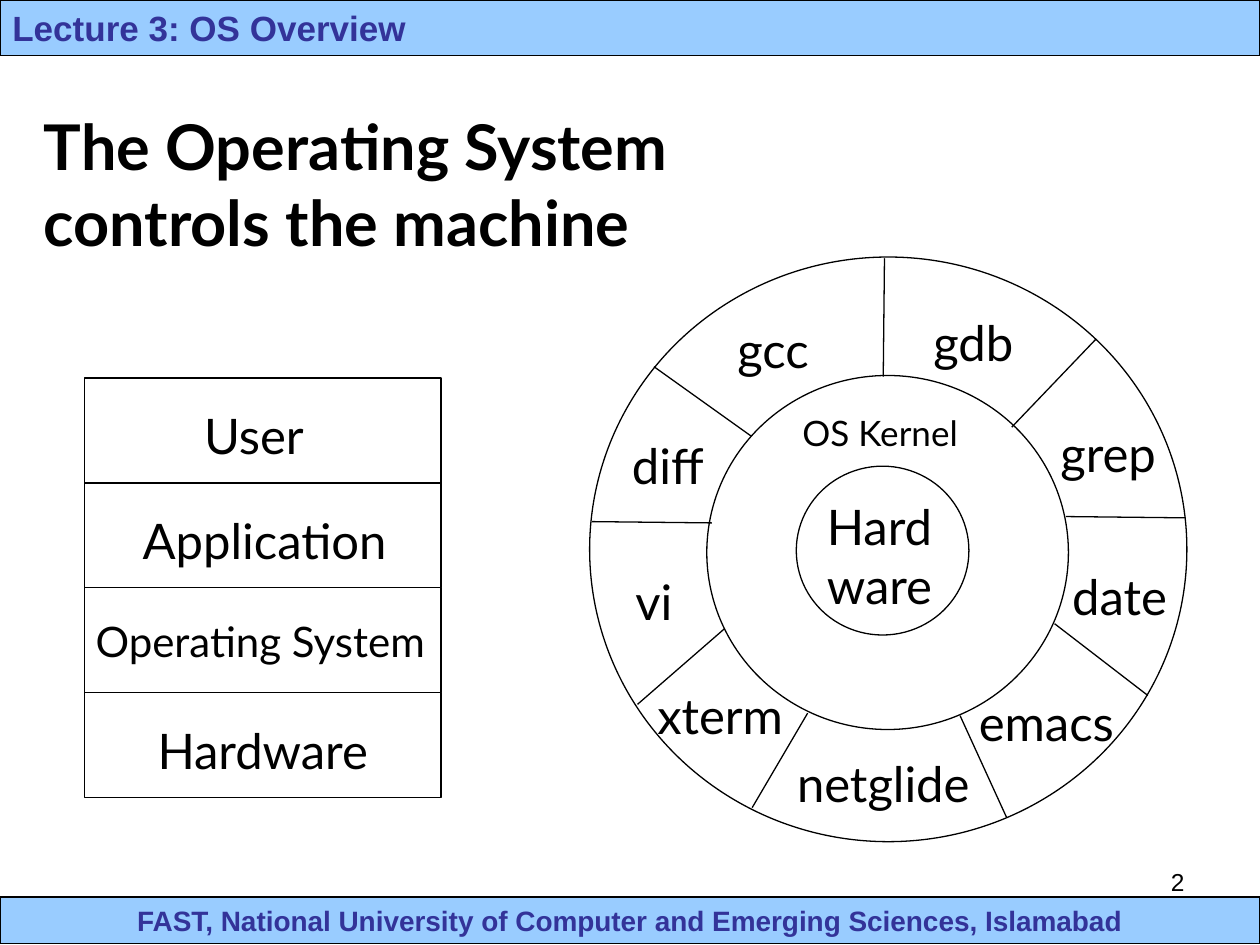
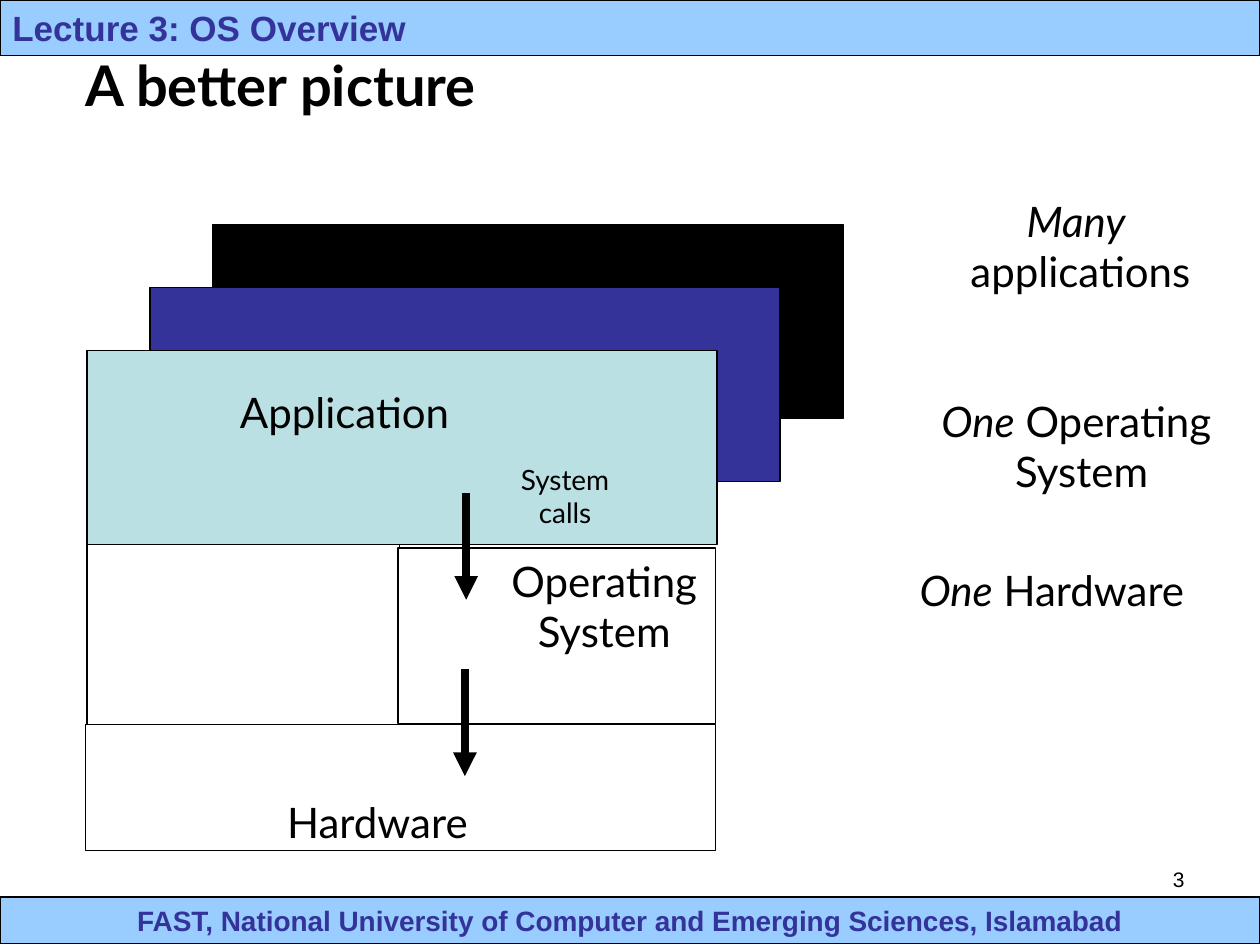
import dataclasses

import pptx
import pptx.dml.color
import pptx.enum.shapes
import pptx.enum.text
import pptx.oxml
import pptx.oxml.ns
import pptx.util

ALIGN = pptx.enum.text.PP_ALIGN
ANCHOR = pptx.enum.text.MSO_ANCHOR
SHAPE = pptx.enum.shapes.MSO_SHAPE
COLUMNS, ROWS = 10, 7.5  # one grid cell is one inch square


@dataclasses.dataclass(frozen=True)
class Theme:
    ink: str = "000000"
    paper: str = "FFFFFF"
    band: str = "99CCFF"
    navy: str = "333399"
    aqua: str = "BBE0E3"
    body_font: str = "Lato"
    band_font: str = "Arial"
    large: int = 28
    medium: int = 24
    small: int = 20
    tiny: int = 16
    hairline: float = 0.75
    arrow: float = 4.5


THEME = Theme()


def cells(*counts):
    return [pptx.util.Inches(count) for count in counts]


def rgb(code):
    return pptx.dml.color.RGBColor.from_string(code)


def write(shape, lines, size, align=ALIGN.CENTER, font=THEME.body_font,
          color=THEME.ink, bold=False, anchor=ANCHOR.TOP, wrap=True):
    """Fill a shape with lines; a line is a string or an (italic, plain) pair."""
    frame = shape.text_frame
    frame.word_wrap = wrap
    frame.vertical_anchor = anchor
    for index, line in enumerate(lines):
        para = frame.add_paragraph() if index else frame.paragraphs[0]
        para.alignment = align
        para.font.size = pptx.util.Pt(size)
        para.font.name = font
        para.font.bold = bold
        para.font.color.rgb = rgb(color)
        if isinstance(line, str):
            para.add_run().text = line
            continue
        for text, italic in zip(line, (True, False)):
            if text:
                span = para.add_run()
                span.text = text
                span.font.italic = italic


def add_outline(page, place, fill=None, kind=SHAPE.RECTANGLE):
    """Add a thin-lined shape, see-through unless a fill is given."""
    shape = page.shapes.add_shape(kind, *cells(*place))
    shape.shadow.inherit = False
    if fill:
        shape.fill.solid()
        shape.fill.fore_color.rgb = rgb(fill)
    else:
        shape.fill.background()
    shape.line.color.rgb = rgb(THEME.ink)
    shape.line.width = pptx.util.Pt(THEME.hairline)
    return shape


def add_label(page, left, top, width, *lines, size=THEME.large, align=ALIGN.CENTER):
    """Add unwrapped text whose height follows from its lines."""
    height = len(lines) * size * 1.2 / 72 + 0.1
    box = page.shapes.add_textbox(*cells(left, top, width, height))
    write(box, lines, size, align, wrap=False)
    box.text_frame.auto_size = pptx.enum.text.MSO_AUTO_SIZE.SHAPE_TO_FIT_TEXT


def add_line(page, start, end, width=THEME.hairline, arrow=False):
    line = page.shapes.add_connector(
        pptx.enum.shapes.MSO_CONNECTOR.STRAIGHT, *cells(*start, *end))
    line.line.color.rgb = rgb(THEME.ink)
    line.line.width = pptx.util.Pt(width)
    if arrow:
        head = pptx.oxml.parse_xml(
            f'<a:tailEnd {pptx.oxml.ns.nsdecls("a")} type="triangle"/>')
        line.line._get_or_add_ln().append(head)
    line._element.spPr.append(
        pptx.oxml.parse_xml(f'<a:effectLst {pptx.oxml.ns.nsdecls("a")}/>'))


def add_band(page, top, height, text, size, align):
    band = add_outline(page, (0, top, COLUMNS, height), THEME.band)
    write(band, [text], size, align, THEME.band_font, THEME.navy,
          bold=True, anchor=ANCHOR.MIDDLE)


def add_page(deck, number, number_size, title_lines, title_place, title_size):
    """Add a blank page with both bands, its number and its title."""
    page = deck.slides.add_slide(deck.slide_layouts[6])
    add_band(page, 7.12, 0.37,
             "FAST, National University of Computer and Emerging Sciences, Islamabad",
             THEME.tiny, ALIGN.CENTER)
    add_band(page, 0, 0.44, "Lecture 3: OS Overview", THEME.small, ALIGN.LEFT)
    number_box = page.shapes.add_textbox(*cells(7.17, 6.83, 2.33, 0.52))
    write(number_box, [str(number)], number_size, ALIGN.RIGHT, THEME.band_font)
    title = page.shapes.add_textbox(*cells(*title_place))
    write(title, title_lines, title_size, ALIGN.LEFT, bold=True, anchor=ANCHOR.MIDDLE)
    return page


def add_layer_stack(page):
    layers = [("User", 1.49, 1.05, THEME.large),
              ("Application", 0.98, 2.24, THEME.large),
              ("Operating System", 0.56, 3.01, THEME.medium),
              ("Hardware", 1.08, 2.01, THEME.large)]
    left, top, width = 0.67, 3, 2.83
    height = 3.33 / len(layers)
    for row, (name, label_left, label_width, size) in enumerate(layers):
        layer_top = top + row * height
        add_outline(page, (left, layer_top, width, height))
        add_label(page, label_left, layer_top + 0.17, label_width, name, size=size)


def add_kernel_rings(page):
    """Draw hardware, kernel and tools as rings, with spokes between the tools."""
    rings = [(4.68, 2.04, 4.74, 4.64), (5.61, 2.98, 2.87, 2.81), (6.32, 3.7, 1.37, 1.34)]
    for ring in rings:
        add_outline(page, ring, kind=SHAPE.OVAL)
    add_label(page, 6.24, 3.22, 1.49, "OS Kernel", size=THEME.small)
    add_label(page, 6.43, 3.89, 1.1, "Hard", "ware")

    spokes = [((7.01, 2.99), (7.02, 2.05)), ((8.03, 3.39), (8.7, 2.69)),
              ((8.46, 4.1), (9.41, 4.11)), ((8.37, 4.95), (9.11, 5.52)),
              ((7.62, 5.68), (7.99, 6.49)), ((6.41, 5.66), (5.97, 6.41)),
              ((5.75, 4.99), (5.06, 5.59)), ((5.65, 4.15), (4.7, 4.14)),
              ((5.96, 3.46), (5.19, 2.91))]
    for inner, outer in spokes:
        add_line(page, inner, outer)

    tools = [(7.27, 2.43, 0.91, "gdb"), (8.27, 3.31, 1.05, "grep"),
             (8.38, 4.45, 1.01, "date"), (7.62, 5.45, 1.37, "emacs"),
             (6.09, 5.93, 1.84, "netglide"), (5.07, 5.39, 1.29, "xterm"),
             (4.94, 4.49, 0.5, "vi"), (4.9, 3.41, 0.8, "diff"),
             (5.73, 2.49, 0.81, "gcc")]
    for tool in tools:
        add_label(page, *tool)


def add_system_picture(page):
    """Draw stacked applications over the operating system and hardware."""
    add_outline(page, (0.68, 5.75, 5, 1), THEME.paper)
    add_outline(page, (0.69, 4.32, 2.48, 1.43), THEME.paper)
    add_outline(page, (3.16, 4.35, 2.52, 1.39), THEME.paper)
    for step, fill in enumerate((THEME.ink, THEME.navy, THEME.aqua)):
        add_outline(page, (1.69 - step / 2, 1.78 + step / 2, 5, 1.54), fill)
    for left, top in ((3.7, 3.91), (3.69, 5.31)):
        add_line(page, (left, top), (left, top + 0.85), THEME.arrow, arrow=True)
    add_label(page, 1.76, 3.02, 1.95, "Application", size=THEME.medium)
    add_label(page, 4.01, 3.62, 0.95, "System", "calls", size=THEME.tiny)
    add_label(page, 3.9, 4.36, 1.79, "Operating", "System", size=THEME.medium)
    add_label(page, 2.12, 6.27, 1.75, "Hardware", size=THEME.medium)


def add_quantities(page):
    add_label(page, 7.53, 1.5, 2.09, ("Many ", ""), "applications", size=THEME.medium)
    add_label(page, 7.3, 3.09, 2.57, ("One", " Operating "), "System", size=THEME.medium)
    add_label(page, 7.2, 4.43, 2.44, ("One", " Hardware"), size=THEME.medium,
              align=ALIGN.LEFT)


def main():
    deck = pptx.Presentation()
    deck.slide_width, deck.slide_height = cells(COLUMNS, ROWS)

    control = add_page(deck, 2, 14, ["The Operating System", "controls the machine"],
                       (0.25, 1.08, 9, 0.75), 36)
    add_layer_stack(control)
    add_kernel_rings(control)

    better = add_page(deck, 3, 12, ["A better picture"], (0.58, 0.2, 8.58, 0.93), 32)
    add_system_picture(better)
    add_quantities(better)

    deck.save("out.pptx")


if __name__ == "__main__":
    main()
